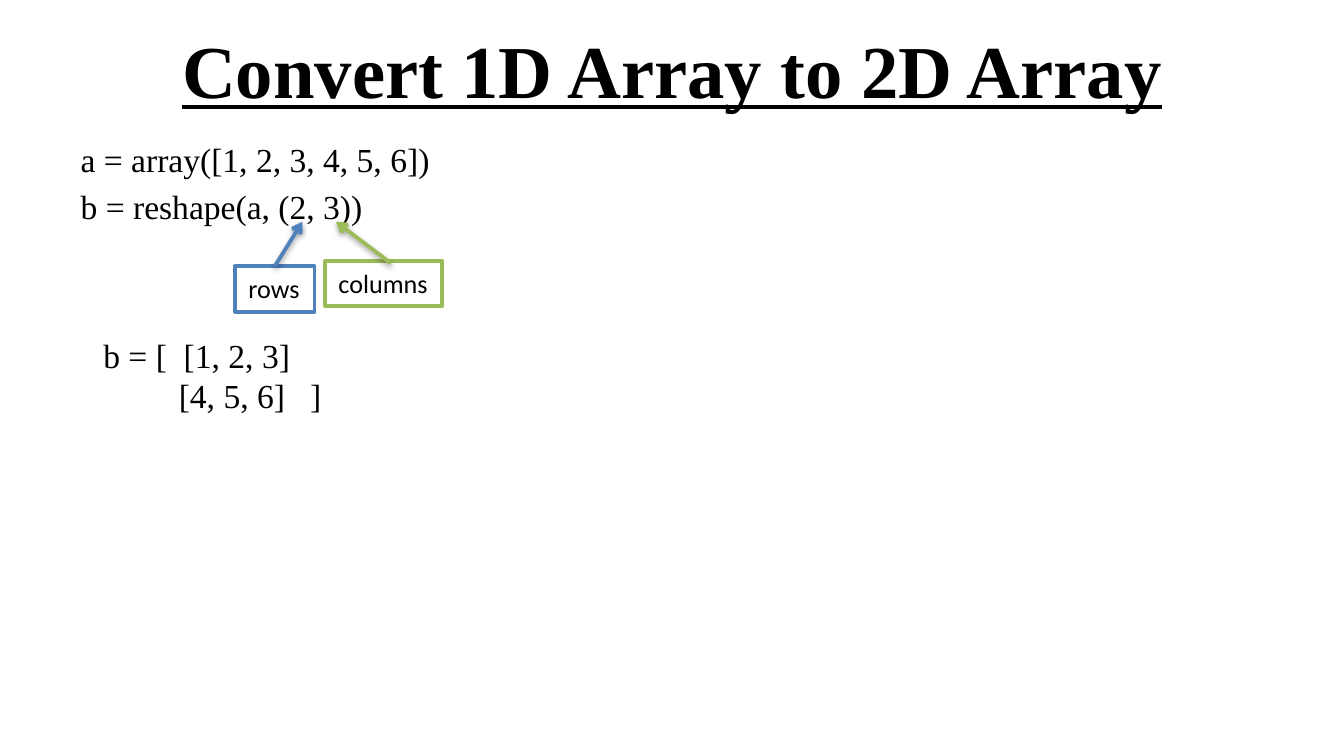
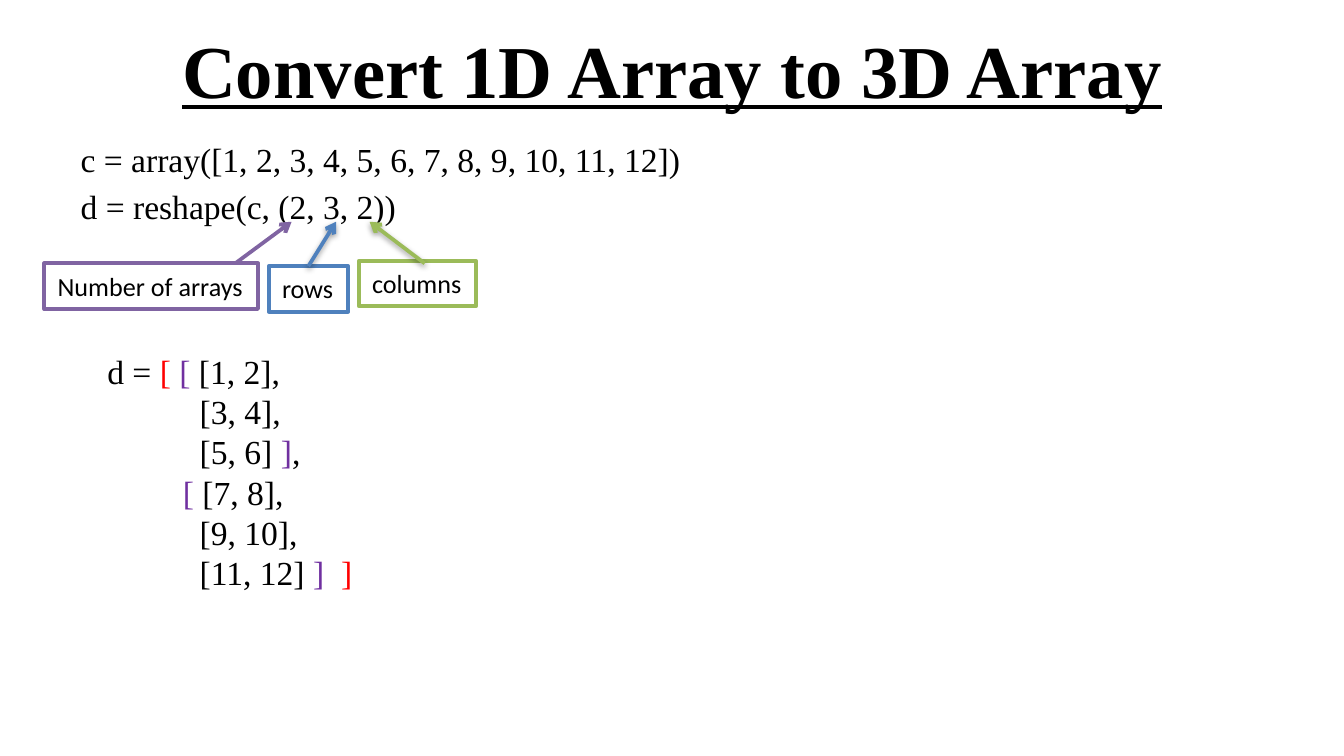
"""Build two slides on reshaping one-dimensional arrays."""
import dataclasses

import lxml.etree
import pptx
import pptx.dml.color
import pptx.enum.shapes
import pptx.enum.text
import pptx.oxml
import pptx.oxml.ns
import pptx.util

Inches = pptx.util.Inches


@dataclasses.dataclass(frozen=True)
class Theme:
    """Colours, fonts and sizes shared by the slides."""
    black: str = "000000"
    white: str = "FFFFFF"
    red: str = "FF0000"
    purple: str = "7030A0"
    rows: str = "4F81BD"
    columns: str = "9BBB59"
    arrays: str = "8064A2"
    serif: str = "Times New Roman"
    sans: str = "Calibri"
    title_size: int = 40
    code_size: int = 18
    label_size: int = 14
    line_width: int = 2
    code_gap: float = 3.6


THEME = Theme()
LABEL_HEIGHT = 0.34
ARROW_TIP_Y = 1.65
SHADOW = {"blurRad": pptx.util.Pt(3.1), "dist": pptx.util.Pt(1.6),
          "dir": 90 * 60000, "rotWithShape": 0}


def rgb(color):
    """Turn a hex string into a colour."""
    return pptx.dml.color.RGBColor.from_string(color)


def add_run(p, text, size, font=THEME.serif, color=THEME.black):
    """Add one formatted run to a paragraph."""
    r = p.add_run()
    r.text = text
    r.font.name = font
    r.font.size = pptx.util.Pt(size)
    r.font.color.rgb = rgb(color)
    return r


def place(sp, left, top, width, height):
    """Move and size a shape."""
    sp.left, sp.top = Inches(left), Inches(top)
    sp.width, sp.height = Inches(width), Inches(height)


def next_paragraph(tf, index):
    """Return the first paragraph, or a new one after it."""
    return tf.add_paragraph() if index else tf.paragraphs[0]


def add_child(parent, tag, **attributes):
    """Append a drawing element with attributes."""
    child = lxml.etree.SubElement(parent, pptx.oxml.ns.qn(tag))
    for name, value in attributes.items():
        child.set(name, str(value))
    return child


def add_code_slide(prs, title, statements):
    """Add a slide with an underlined title and code statements."""
    s = prs.slides.add_slide(prs.slide_layouts[1])
    place(s.shapes.title, 0.5, 0.04, 9, 0.94)
    p = s.shapes.title.text_frame.paragraphs[0]
    p.alignment = pptx.enum.text.PP_ALIGN.CENTER
    r = add_run(p, title, THEME.title_size)
    r.font.bold = r.font.underline = True

    body = s.placeholders[1]
    place(body, 0.5, 0.98, 9, 4.42)
    for i, statement in enumerate(statements):
        p = next_paragraph(body.text_frame, i)
        pPr = p._p.get_or_add_pPr()
        pPr.set("marL", "0")
        pPr.set("indent", "0")
        add_child(pPr, "a:buNone")
        p.space_before = pptx.util.Pt(THEME.code_gap if i else 0)
        add_run(p, statement, THEME.code_size)
    return s


def add_label(s, text, left, top, width, color):
    """Add an outlined label."""
    sp = s.shapes.add_shape(
        pptx.enum.shapes.MSO_SHAPE.RECTANGLE, Inches(left), Inches(top),
        Inches(width), Inches(LABEL_HEIGHT))
    sp.shadow.inherit = False
    sp.fill.solid()
    sp.fill.fore_color.rgb = rgb(THEME.white)
    sp.line.color.rgb = rgb(color)
    sp.line.width = pptx.util.Pt(THEME.line_width)
    tf = sp.text_frame
    tf.word_wrap = False
    tf.auto_size = pptx.enum.text.MSO_AUTO_SIZE.SHAPE_TO_FIT_TEXT
    tf.vertical_anchor = pptx.enum.text.MSO_ANCHOR.TOP
    p = tf.paragraphs[0]
    p.alignment = pptx.enum.text.PP_ALIGN.LEFT
    add_run(p, text, THEME.label_size, THEME.sans)
    return sp


def add_arrow(s, x, y, tip_x, color, shadow=True):
    """Add an arrow pointing up at a code argument."""
    cxn = s.shapes.add_connector(
        pptx.enum.shapes.MSO_CONNECTOR.STRAIGHT, Inches(x), Inches(y),
        Inches(tip_x), Inches(ARROW_TIP_Y))
    cxn.line.color.rgb = rgb(color)
    cxn.line.width = pptx.util.Pt(THEME.line_width)
    add_child(cxn.line._get_or_add_ln(), "a:tailEnd", type="arrow")
    effects = add_child(cxn._element.spPr, "a:effectLst")
    if shadow:
        outer = add_child(effects, "a:outerShdw", **SHADOW)
        black = add_child(outer, "a:srgbClr", val=THEME.black)
        add_child(black, "a:alpha", val=38000)
    return cxn


def add_shape_arguments(s, left):
    """Add the rows and columns labels with their arrows."""
    rows = add_label(s, "rows", left, 1.98, 0.59, THEME.rows)
    add_label(s, "columns", left + 0.67, 1.94, 0.87, THEME.columns)
    cxn = add_arrow(s, left + 0.29, 1.98, left + 0.5, THEME.rows)
    cxn.begin_connect(rows, 0)
    add_arrow(s, left + 1.16, 1.96, left + 0.75, THEME.columns)


def add_result(s, lines, left, top, width, height, wrap):
    """Add the resulting array, one paragraph for each line of runs."""
    sp = s.shapes.add_textbox(Inches(left), Inches(top), Inches(width), Inches(height))
    tf = sp.text_frame
    tf.word_wrap = wrap
    tf.auto_size = pptx.enum.text.MSO_AUTO_SIZE.SHAPE_TO_FIT_TEXT
    for i, line in enumerate(lines):
        p = next_paragraph(tf, i)
        for text, color in line:
            add_run(p, text, THEME.code_size, color=color)


def build_2d_slide(prs):
    """Show the conversion to a 2D array."""
    s = add_code_slide(prs, "Convert 1D Array to 2D Array", [
        "a = array([1, 2, 3, 4, 5, 6])", "b = reshape(a, (2, 3))"])
    add_shape_arguments(s, 1.75)
    add_result(s, [
        [("b = [  [1, 2, 3]", THEME.black)],
        [("         [4, 5, 6]   ]", THEME.black)],
    ], 0.67, 2.44, 1.91, 0.71, wrap=False)


def build_3d_slide(prs):
    """Show the conversion to a 3D array."""
    s = add_code_slide(prs, "Convert 1D Array to 3D Array", [
        "c = array([1, 2, 3, 4, 5, 6, 7, 8, 9, 10, 11, 12])",
        "d = reshape(c, (2, 3, 2))"])
    add_shape_arguments(s, 2)
    add_label(s, "Number of arrays", 0.33, 1.96, 1.59, THEME.arrays)
    add_arrow(s, 1.75, 1.96, 2.17, THEME.arrays, shadow=False)
    black, purple, red = THEME.black, THEME.purple, THEME.red
    add_result(s, [
        [("d = ", black), ("[ ", red), ("[", purple), (" [1, 2],", black)],
        [("           [3, 4],", black)],
        [("           [5, 6] ", black), ("]", purple), (",", black)],
        [("         ", black), ("[", purple), (" [7, 8],", black)],
        [("           [9, 10],", black)],
        [("           [11, 12] ", black), ("]  ", purple), ("]", red)],
    ], 0.7, 2.56, 2.05, 1.92, wrap=True)


def main():
    """Build and save the presentation."""
    prs = pptx.Presentation()
    prs.slide_width = Inches(10)
    prs.slide_height = prs.slide_width * 9 // 16
    build_2d_slide(prs)
    build_3d_slide(prs)
    prs.save("out.pptx")


if __name__ == "__main__":
    main()
